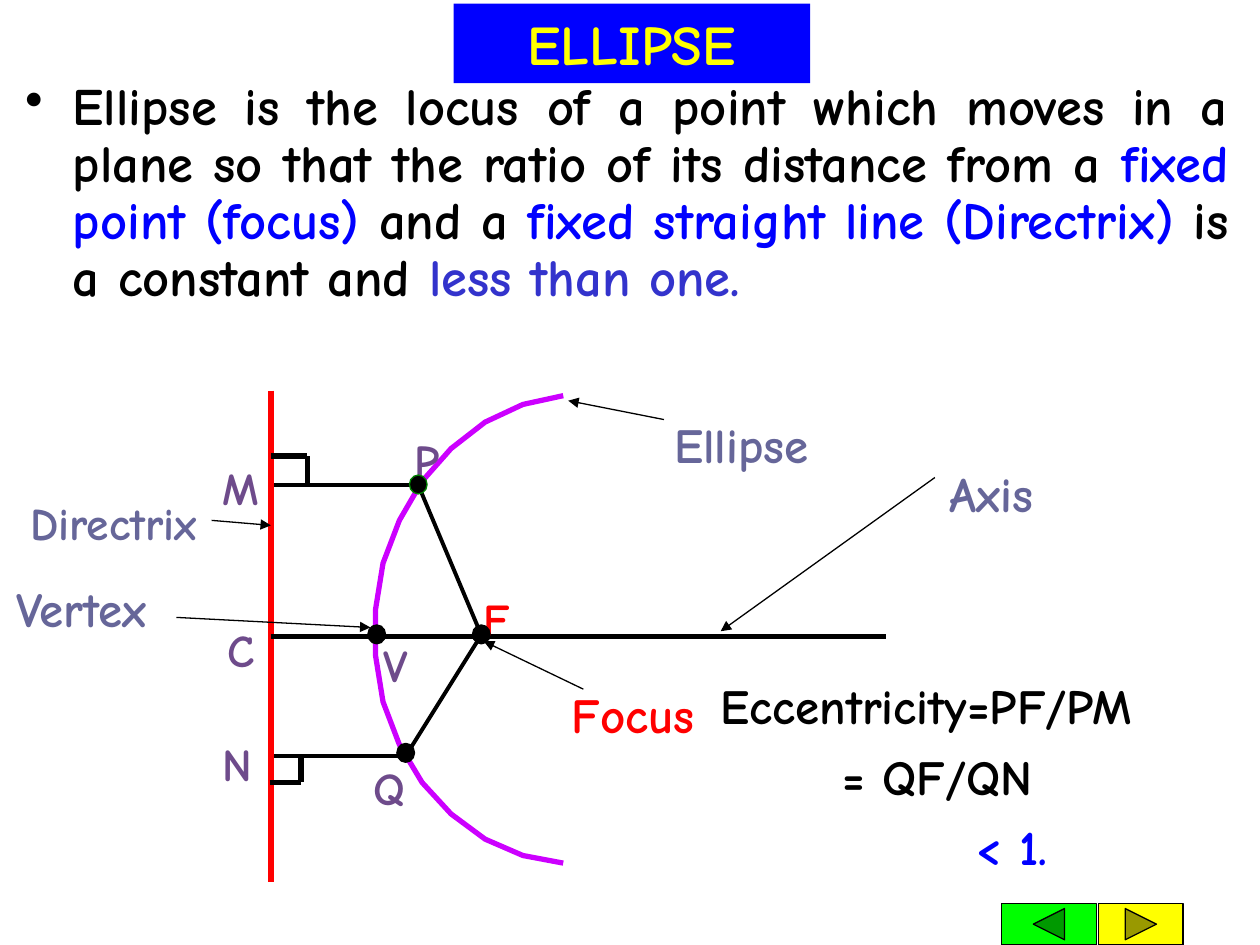
from lxml.etree import SubElement
from pptx import Presentation
from pptx.dml.color import RGBColor
from pptx.enum.shapes import MSO_CONNECTOR as Connector, MSO_SHAPE as Shape
from pptx.enum.text import MSO_ANCHOR as Anchor, PP_ALIGN as Align
from pptx.oxml.ns import qn
from pptx.util import Inches, Pt

FONT = "Comic Neue"
COLORS = {
    "black": "000000", "blue": "0000FF", "indigo": "3333CC", "yellow": "FFFF00",
    "green": "00FF00", "dark_green": "008000", "red": "FF0000",
    "slate": "666699", "purple": "6E4B8B", "violet": "CC00FF",
}


def rgb(name):
    """Return the named colour."""
    return RGBColor.from_string(COLORS[name])


def add_run(paragraph, text, size, color):
    """Append a bold run to the paragraph."""
    run = paragraph.add_run()
    run.text = text
    font = run.font
    font.name, font.size, font.bold = FONT, Pt(size), True
    font.color.rgb = rgb(color)


def add_text_frame(slide, left, top, width, height):
    """Add a wrapping text box and return its text frame."""
    box = slide.shapes.add_textbox(Inches(left), Inches(top), Inches(width), Inches(height))
    box.text_frame.word_wrap = True
    return box.text_frame


def add_label(slide, text, left, top, width, height, size, color):
    """Add a centred one-line label."""
    paragraph = add_text_frame(slide, left, top, width, height).paragraphs[0]
    paragraph.alignment = Align.CENTER
    paragraph.line_spacing = 1.3
    add_run(paragraph, text, size, color)


def add_line(slide, start, end, width, color="black", arrow=False):
    """Draw a straight line, with an arrowhead at its end if asked."""
    points = [Inches(value) for value in (*start, *end)]
    connector = slide.shapes.add_connector(Connector.STRAIGHT, *points)
    connector.line.width = Pt(width)
    connector.line.color.rgb = rgb(color)
    properties = connector.element.spPr
    if arrow:
        SubElement(properties.find(qn("a:ln")), qn("a:tailEnd"), type="triangle")
    SubElement(properties, qn("a:effectLst"))


def add_filled(slide, kind, left, top, width, height, fill, line=None):
    """Add a filled preset shape without a shadow."""
    shape = slide.shapes.add_shape(
        kind, Inches(left), Inches(top), Inches(width), Inches(height))
    shape.shadow.inherit = False
    shape.fill.solid()
    shape.fill.fore_color.rgb = rgb(fill)
    if line:
        shape.line.color.rgb = rgb(line)
        shape.line.width = Pt(0.75)
    else:
        shape.line.fill.background()
    return shape


def add_title(slide, left, top, width, height):
    """Add the title banner."""
    shape = add_filled(slide, Shape.RECTANGLE, left, top, width, height, "blue")
    shape.text_frame.vertical_anchor = Anchor.MIDDLE
    paragraph = shape.text_frame.paragraphs[0]
    paragraph.alignment = Align.CENTER
    add_run(paragraph, "ELLIPSE", 32, "yellow")


def add_definition(slide, left, top, width, height):
    """Add the bulleted definition."""
    paragraph = add_text_frame(slide, left, top, width, height).paragraphs[0]
    paragraph.alignment = Align.JUSTIFY
    paragraph.line_spacing = 0.9
    properties = paragraph._p.get_or_add_pPr()
    properties.set("marL", str(Inches(0.38)))
    properties.set("indent", str(-Inches(0.38)))
    SubElement(properties, qn("a:buChar"), char="•")
    for text, color in (
        ("Ellipse is the locus of a point which moves in a plane "
         "so that the ratio of its distance from a ", "black"),
        ("fixed point (focus)", "blue"),
        (" and a ", "black"),
        ("fixed straight line (Directrix)", "blue"),
        (" is a constant and ", "black"),
        ("less than one.", "indigo"),
    ):
        add_run(paragraph, text, 30, color)


def add_curve(slide, left, top):
    """Draw the open arc of the ellipse."""
    points = [
        (4.47, 0.14), (4.15, 0.21), (3.85, 0.35), (3.58, 0.56), (3.35, 0.82),
        (3.17, 1.13), (3.04, 1.47), (2.98, 1.84), (2.98, 2.2), (3.04, 2.57),
        (3.17, 2.91), (3.35, 3.21), (3.58, 3.46), (3.85, 3.66), (4.15, 3.79),
        (4.47, 3.85),
    ]
    corners = [(Inches(left + x), Inches(top + y)) for x, y in points]
    builder = slide.shapes.build_freeform(*corners[0])
    builder.add_line_segments(corners[1:], close=False)
    curve = builder.convert_to_shape()
    curve.shadow.inherit = False
    curve.fill.background()
    curve.line.color.rgb = rgb("violet")
    curve.line.width = Pt(3)


def add_diagram(slide, left, top):
    """Draw the ellipse with its directrix, axis, focus and labels."""
    def place(point):
        return left + point[0], top + point[1]

    p, q, f, v = (3.32, 0.85), (3.22, 2.98), (3.82, 2.04), (2.99, 2.04)
    for start, end, width, color in (
        (p, f, 2.25, "black"),
        ((2.14, 0.85), p, 2.25, "black"),
        (f, (3.22, 3), 2.25, "black"),
        ((2.17, 3), (3.24, 3), 2.25, "black"),
        ((2.15, 0.1), (2.15, 4), 3, "red"),
        ((2.15, 2.05), (7.03, 2.05), 3, "black"),
        ((2.15, 0.62), (2.44, 0.62), 3, "black"),
        ((2.44, 0.62), (2.44, 0.84), 3, "black"),
        ((2.14, 3.21), (2.39, 3.21), 3, "black"),
        ((2.39, 3.21), (2.39, 3.02), 3, "black"),
    ):
        add_line(slide, place(start), place(end), width, color)
    add_curve(slide, left, top)

    for text, x, y, width, color in (
        ("M", 1.67, 0.47, 0.31, "purple"), ("N", 1.67, 2.66, 0.31, "purple"),
        ("Q", 2.86, 2.85, 0.46, "purple"), ("P", 3.16, 0.25, 0.46, "purple"),
        ("C", 1.71, 1.76, 0.31, "purple"), ("F", 3.74, 1.51, 0.31, "red"),
        ("V", 2.91, 1.88, 0.46, "purple"), ("Directrix", -0.06, 0.75, 1.93, "slate"),
    ):
        add_label(slide, text, *place((x, y)), width, 0.66, 26, color)
    for text, x, y, width, color in (
        ("Vertex", -0.38, 1.4, 2.05, "slate"), ("Axis", 7.32, 0.49, 1.1, "slate"),
        ("Focus", 4.4, 2.24, 1.25, "red"), ("Ellipse", 5.12, 0.1, 1.53, "slate"),
    ):
        add_label(slide, text, *place((x, y)), width, 0.71, 28, color)
    for start, end in (
        ((1.4, 1.9), (2.94, 1.98)), ((7.42, 0.79), (5.72, 2.01)),
        ((4.63, 2.47), (3.84, 2.09)), ((5.27, 0.33), (4.51, 0.18)),
        ((1.68, 1.13), (2.15, 1.17)),
    ):
        add_line(slide, place(start), place(end), 0.75, arrow=True)

    for center, line in ((f, "black"), (v, "black"), (p, "dark_green"), (q, "black")):
        x, y = place(center)
        add_filled(slide, Shape.OVAL, x - 0.07, y - 0.08, 0.14, 0.15, "black", line)


def add_eccentricity(slide, left, top, width, height):
    """Add the stepped eccentricity formula."""
    frame = add_text_frame(slide, left, top, width, height)
    for index, (text, indent, color) in enumerate((
        ("Eccentricity=PF/PM", 0, "black"),
        ("= QF/QN", 0.97, "black"),
        ("< 1.", 2.02, "blue"),
    )):
        paragraph = frame.add_paragraph() if index else frame.paragraphs[0]
        paragraph.line_spacing = 1.2
        paragraph._p.get_or_add_pPr().set("marL", str(Inches(indent)))
        add_run(paragraph, text, 28, color)


def add_navigation(slide, left, top, height):
    """Add the back and forward buttons."""
    add_filled(slide, Shape.ACTION_BUTTON_BACK_OR_PREVIOUS,
               left, top, 0.75, height, "green", "black")
    add_filled(slide, Shape.ACTION_BUTTON_FORWARD_OR_NEXT,
               left + 0.77, top, 0.67, height, "yellow", "black")


def main():
    """Build and save the slide."""
    presentation = Presentation()
    presentation.slide_width, presentation.slide_height = Inches(10), Inches(7.5)
    slide = presentation.slides.add_slide(presentation.slide_layouts[6])
    add_definition(slide, 0.1, 0.59, 9.75, 2.35)
    add_title(slide, 3.6, 0.03, 2.83, 0.63)
    add_diagram(slide, 0, 3)
    add_eccentricity(slide, 5.62, 5.22, 4.42, 1.78)
    add_navigation(slide, 7.95, 7.17, 0.33)
    presentation.save("out.pptx")


if __name__ == "__main__":
    main()
